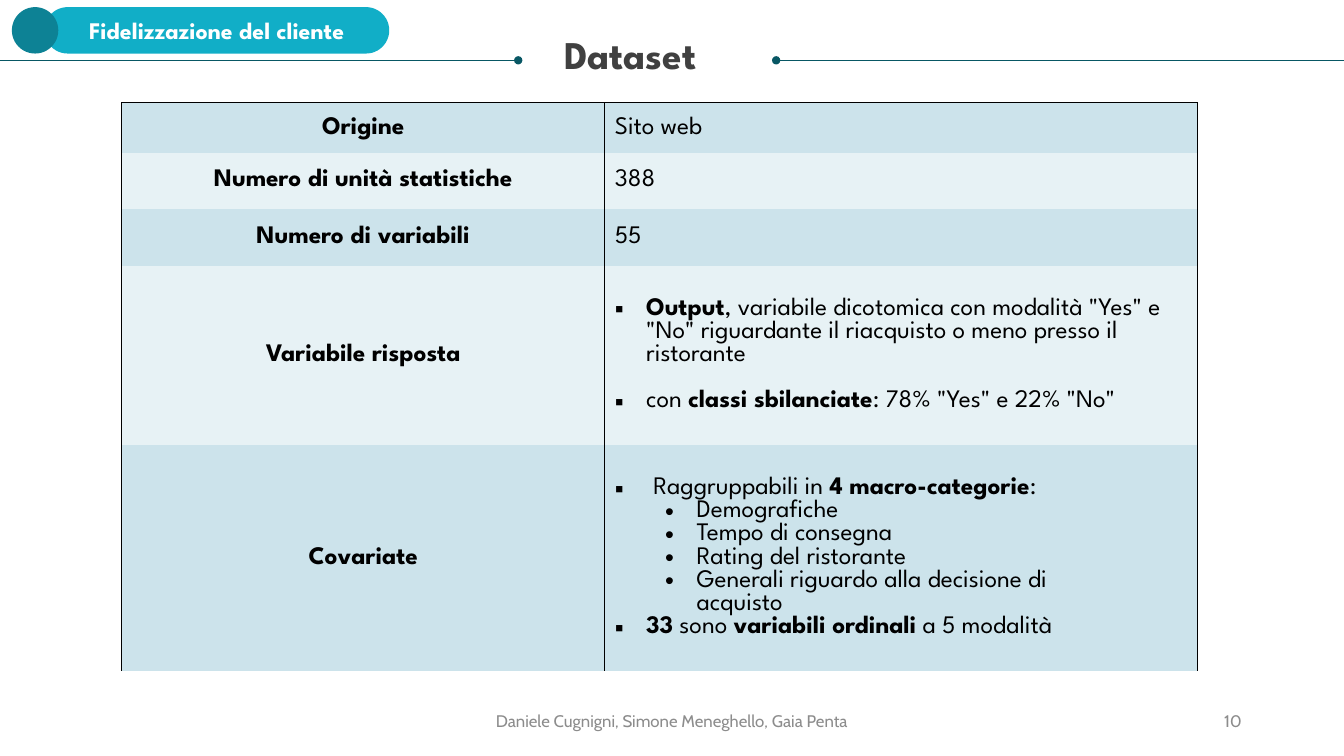
from lxml.etree import SubElement
from pptx import Presentation
from pptx.dml.color import RGBColor
from pptx.enum.shapes import MSO_CONNECTOR, MSO_SHAPE
from pptx.enum.text import MSO_ANCHOR, PP_ALIGN
from pptx.oxml.ns import qn
from pptx.util import Cm, Pt

COLORS = {
    "text": "000000",
    "title": "404040",
    "footer": "8C8C8C",
    "label": "FFFFFF",
    "pill": "11AEC7",
    "disc": "0D8295",
    "rule": "085764",
    "row_dark": "CCE3EB",
    "row_light": "E7F2F5",
}
HEADING_FONT, FOOTER_FONT = "League Spartan", "Cabin"
PLAIN_TABLE_STYLE = "{2D5ABB26-0587-4C30-8999-92F81FD0307C}"

SQUARE = ("▪", 0.79, 0.79)
WIDE_SQUARE = ("▪", 0.97, 0.97)
DOT = ("•", 2.06, 0.79)
COLUMN_WIDTHS = (12.17, 14.94)
DATASET_ROWS = [
    (1.27, "Origine", [("Sito web", None, 0)]),
    (1.4, "Numero di unità statistiche", [("388", None, 0)]),
    (1.45, "Numero di variabili", [("55", None, 0)]),
    (4.5, "Variabile risposta", [
        ('**Output**, variabile dicotomica con modalità "Yes" e "No" '
         "riguardante il riacquisto o meno presso il ristorante", SQUARE, 0),
        ('con **classi sbilanciate**: 78% "Yes" e 22% "No"', SQUARE, 16.5),
    ]),
    (5.7, "Covariate", [
        ("Raggruppabili in **4 macro-categorie**:", WIDE_SQUARE, 0),
        ("Demografiche", DOT, 0),
        ("Tempo di consegna", DOT, 0),
        ("Rating del ristorante", DOT, 0),
        ("Generali riguardo alla decisione di\vacquisto", DOT, 0),
        ("**33** sono **variabili ordinali** a 5 modalità", SQUARE, 0),
    ]),
]


def color(name):
    """Return the named colour."""
    return RGBColor.from_string(COLORS[name])


def write(paragraph, text, size, color_name, font=HEADING_FONT, bold=False,
          align=PP_ALIGN.LEFT):
    """Fill a paragraph, setting the parts between double asterisks in bold."""
    paragraph.alignment = align
    pieces = text.split("**")
    if len(pieces) == 1:
        paragraph.text = text
    else:
        for index, piece in enumerate(pieces):
            if piece:
                run = paragraph.add_run()
                run.text = piece
                run.font.bold = index % 2 == 1
    paragraph.font.name = font
    paragraph.font.size = Pt(size)
    paragraph.font.color.rgb = color(color_name)
    if len(pieces) == 1:
        paragraph.font.bold = bold


def add_bullet(paragraph, bullet):
    """Give a paragraph a bullet character with a hanging indent."""
    character, margin, hanging = bullet
    properties = paragraph._p.get_or_add_pPr()
    properties.set("marL", str(Cm(margin)))
    properties.set("indent", str(-Cm(hanging)))
    SubElement(properties, qn("a:buFont"), typeface="Arial")
    SubElement(properties, qn("a:buChar"), char=character)


def add_text(slide, box, text, anchor=MSO_ANCHOR.MIDDLE, **style):
    """Place a one-paragraph text box."""
    frame = slide.shapes.add_textbox(*map(Cm, box)).text_frame
    frame.word_wrap = True
    frame.vertical_anchor = anchor
    write(frame.paragraphs[0], text, **style)


def add_filled_shape(slide, kind, box, fill):
    """Place a flat shape without outline."""
    shape = slide.shapes.add_shape(kind, *map(Cm, box))
    shape.shadow.inherit = False
    shape.fill.solid()
    shape.fill.fore_color.rgb = color(fill)
    shape.line.fill.background()
    return shape


def add_rule(slide, start, end, y):
    """Draw a horizontal rule from the slide edge to a round end."""
    rule = slide.shapes.add_connector(
        MSO_CONNECTOR.STRAIGHT, Cm(start), Cm(y), Cm(end), Cm(y))
    rule.line.color.rgb = color("rule")
    rule.line.width = Pt(0.5)
    SubElement(rule.line._get_or_add_ln(), qn("a:tailEnd"), type="oval")
    SubElement(rule._element.spPr, qn("a:effectLst"))


def add_header(slide, left, top, width):
    """Draw the title, its two rules and the section label."""
    rule_y = top + 1.52
    add_rule(slide, left + width, left + 19.56, rule_y)
    add_rule(slide, left, left + 13.06, rule_y)
    pill = add_filled_shape(slide, MSO_SHAPE.ROUNDED_RECTANGLE,
                            (left + 1.12, top + 0.18, 8.69, 1.17), "pill")
    pill.adjustments[0] = 0.5
    pill.text_frame.vertical_anchor = MSO_ANCHOR.MIDDLE
    write(pill.text_frame.paragraphs[0], "Fidelizzazione del cliente", 17,
          "label", bold=True, align=PP_ALIGN.CENTER)
    add_filled_shape(slide, MSO_SHAPE.OVAL,
                     (left + 0.3, top + 0.18, 1.17, 1.17), "disc")
    add_text(slide, (left + 13.97, top + 0.64, 12.09, 1.45), "Dataset",
             anchor=MSO_ANCHOR.TOP, size=28, color_name="title", bold=True)


def style_cell(cell, fill, borders):
    """Set the borders, the fill and the anchor of a cell."""
    properties = cell._tc.get_or_add_tcPr()
    for border in borders:
        line = SubElement(properties, qn(f"a:{border}"), w=str(Pt(1)))
        solid = SubElement(line, qn("a:solidFill"))
        SubElement(solid, qn("a:srgbClr"), val=COLORS["text"])
    cell.fill.solid()
    cell.fill.fore_color.rgb = color(fill)
    cell.vertical_anchor = MSO_ANCHOR.MIDDLE


def add_dataset_table(slide, left, top):
    """Build the table that describes the dataset."""
    heights = [row[0] for row in DATASET_ROWS]
    table = slide.shapes.add_table(
        len(heights), len(COLUMN_WIDTHS), Cm(left), Cm(top),
        Cm(sum(COLUMN_WIDTHS)), Cm(sum(heights))).table
    table.first_row = table.horz_banding = False
    table._tbl.tblPr.find(qn("a:tableStyleId")).text = PLAIN_TABLE_STYLE
    for column, width in zip(table.columns, COLUMN_WIDTHS):
        column.width = Cm(width)
    for index, (height, name, items) in enumerate(DATASET_ROWS):
        table.rows[index].height = Cm(height)
        borders = ["lnL", "lnR"] + (["lnT"] if index == 0 else [])
        name_cell, value_cell = table.rows[index].cells
        for cell in (name_cell, value_cell):
            style_cell(cell, "row_light" if index % 2 else "row_dark", borders)
        write(name_cell.text_frame.paragraphs[0], name, 18, "text",
              bold=True, align=PP_ALIGN.CENTER)
        frame = value_cell.text_frame
        for position, (text, bullet, gap) in enumerate(items):
            paragraph = frame.add_paragraph() if position else frame.paragraphs[0]
            if gap:
                paragraph.space_before = Pt(gap)
            if bullet:
                add_bullet(paragraph, bullet)
            write(paragraph, text, 18, "text")


def add_footer(slide, left, top, width, height):
    """Place the authors and the page number."""
    style = {"size": 12, "color_name": "footer", "font": FOOTER_FONT}
    add_text(slide, (left, top, 11.43, height),
             "Daniele Cugnigni, Simone Meneghello, Gaia Penta",
             align=PP_ALIGN.CENTER, **style)
    add_text(slide, (left + width - 7.62, top, 7.62, height), "10",
             align=PP_ALIGN.RIGHT, **style)


def main():
    """Build and save the presentation."""
    presentation = Presentation()
    presentation.slide_width, presentation.slide_height = Cm(33.87), Cm(19.05)
    slide = presentation.slides.add_slide(presentation.slide_layouts[6])
    add_footer(slide, 11.22, 17.65, 20.33, 1.01)
    add_dataset_table(slide, 3.07, 2.59)
    add_header(slide, 0, 0, 33.87)
    presentation.save("out.pptx")


if __name__ == "__main__":
    main()
